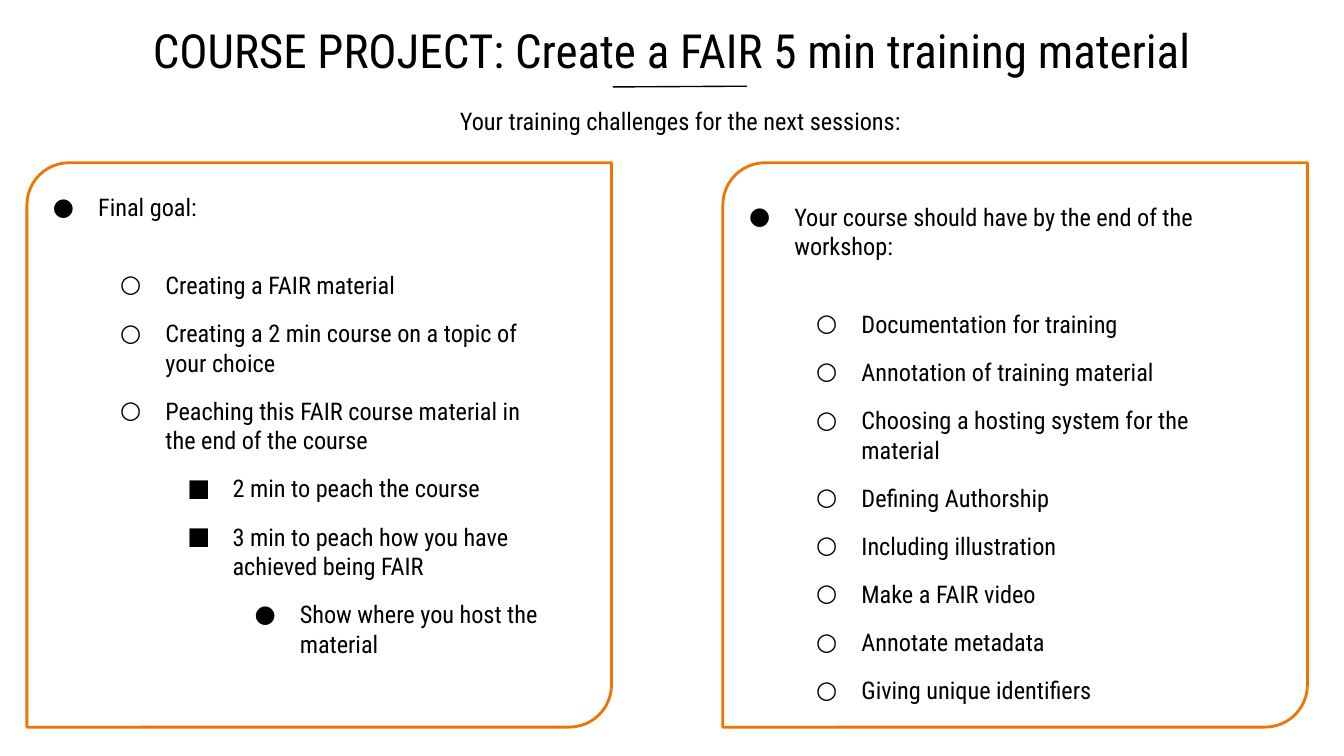
from dataclasses import dataclass

from lxml import etree
from pptx import Presentation
from pptx.dml.color import RGBColor
from pptx.enum import shapes, text
from pptx.oxml.ns import qn
from pptx.util import Pt


@dataclass(frozen=True)
class Theme:
    font: str = "Roboto Condensed"
    ink: str = "000000"
    accent: str = "EF7500"
    title_size: float = 25.2
    body_size: float = 13
    body_line: float = 15.8
    inset: float = 7.2
    level_step: float = 36
    hanging: float = 24.25


BULLETS = "●○■●"

GOALS = [
    (0, "Final goal:"),
    (1, "Creating a FAIR material"),
    (1, "Creating a 2 min course on a topic of your choice"),
    (1, "Peaching this FAIR course material in the end of the course"),
    (2, "2 min to peach the course"),
    (2, "3 min to peach how you have achieved being FAIR"),
    (3, "Show where you host the material"),
]

REQUIREMENTS = [
    (0, "Your course should have by the end of the workshop:"),
    (1, "Documentation for training"),
    (1, "Annotation of training material"),
    (1, "Choosing a hosting system for the material"),
    (1, "Defining Authorship"),
    (1, "Including illustration"),
    (1, "Make a FAIR video"),
    (1, "Annotate metadata"),
    (1, "Giving unique identifiers"),
]


def write(p, content, *, font, size, color, align, before=0, line=None):
    p.alignment = align
    p.space_before = Pt(before)
    p.space_after = Pt(0)
    if line:
        p.line_spacing = Pt(line)
    r = p.add_run()
    r.text = content
    r.font.name = font
    r.font.size = Pt(size)
    r.font.bold = False
    r.font.color.rgb = RGBColor.from_string(color)


class SlideBuilder:
    def __init__(self, slide, theme):
        self.slide = slide
        self.theme = theme

    def frame(self, idx, left, top, width, height):
        sp = self.slide.placeholders[idx]
        sp.left, sp.top, sp.width, sp.height = map(Pt, (left, top, width, height))
        tf = sp.text_frame
        tf.word_wrap = True
        tf.auto_size = text.MSO_AUTO_SIZE.NONE
        tf.vertical_anchor = text.MSO_ANCHOR.TOP
        tf.margin_left = tf.margin_right = Pt(self.theme.inset)
        tf.margin_top = tf.margin_bottom = Pt(self.theme.inset)
        return tf

    def heading(self, idx, box, content, size, line=None):
        t = self.theme
        p = self.frame(idx, *box).paragraphs[0]
        write(p, content, font=t.font, size=size, color=t.ink,
              align=text.PP_ALIGN.CENTER, line=line)

    def bullet(self, p, level):
        t = self.theme
        p.level = level
        pPr = p._p.get_or_add_pPr()
        pPr.set("marL", str(Pt(t.level_step * (level + 1))))
        pPr.set("indent", str(Pt(-t.hanging)))
        color = etree.SubElement(pPr, qn("a:buClr"))
        etree.SubElement(color, qn("a:srgbClr"), val=t.ink)
        etree.SubElement(pPr, qn("a:buFont"), typeface=t.font)
        etree.SubElement(pPr, qn("a:buChar"), char=BULLETS[level])

    def bullet_list(self, idx, box, items):
        t = self.theme
        tf = self.frame(idx, *box)
        gaps = [0, 10 + t.body_line] + [10] * (len(items) - 2)
        for i, ((level, content), gap) in enumerate(zip(items, gaps)):
            p = tf.add_paragraph() if i else tf.paragraphs[0]
            self.bullet(p, level)
            write(p, content, font=t.font, size=t.body_size, color=t.ink,
                  align=text.PP_ALIGN.LEFT, before=gap, line=t.body_line)

    def panel(self, left, top, width, height):
        sp = self.slide.shapes.add_shape(
            shapes.MSO_SHAPE.ROUND_2_DIAG_RECTANGLE,
            Pt(left), Pt(top), Pt(width), Pt(height))
        sp.adjustments[0] = 0.075
        sp.shadow.inherit = False
        sp.fill.background()
        sp.line.color.rgb = RGBColor.from_string(self.theme.accent)
        sp.line.width = Pt(1.5)

    def rule(self, x1, y1, x2, y2):
        line = self.slide.shapes.add_connector(
            shapes.MSO_CONNECTOR.STRAIGHT, Pt(x1), Pt(y1), Pt(x2), Pt(y2))
        line.line.color.rgb = RGBColor.from_string(self.theme.ink)
        line.line.width = Pt(0.75)
        etree.SubElement(line._element.spPr, qn("a:effectLst"))

    def remove_placeholder(self, idx):
        sp = self.slide.placeholders[idx]._element
        sp.getparent().remove(sp)


def main():
    prs = Presentation()
    prs.slide_width, prs.slide_height = Pt(720), Pt(405)
    theme = Theme()
    s = SlideBuilder(prs.slides.add_slide(prs.slide_layouts[4]), theme)
    s.remove_placeholder(3)

    s.heading(0, (24.5, 4.3, 671, 45.4),
              "COURSE PROJECT: Create a FAIR 5 min training material",
              theme.title_size)
    s.rule(328.3, 46.6, 400.3, 46.2)
    s.heading(1, (35.3, 49.7, 658, 30.2),
              "Your training challenges for the next sessions:",
              theme.body_size, theme.body_line)
    for left in (14.4, 387.2):
        s.panel(left, 87.2, 313.2, 302.4)
    s.bullet_list(2, (9.4, 95.8, 287.3, 260), GOALS)
    s.bullet_list(4, (382.3, 100.8, 298.8, 239), REQUIREMENTS)
    prs.save("out.pptx")


if __name__ == "__main__":
    main()
